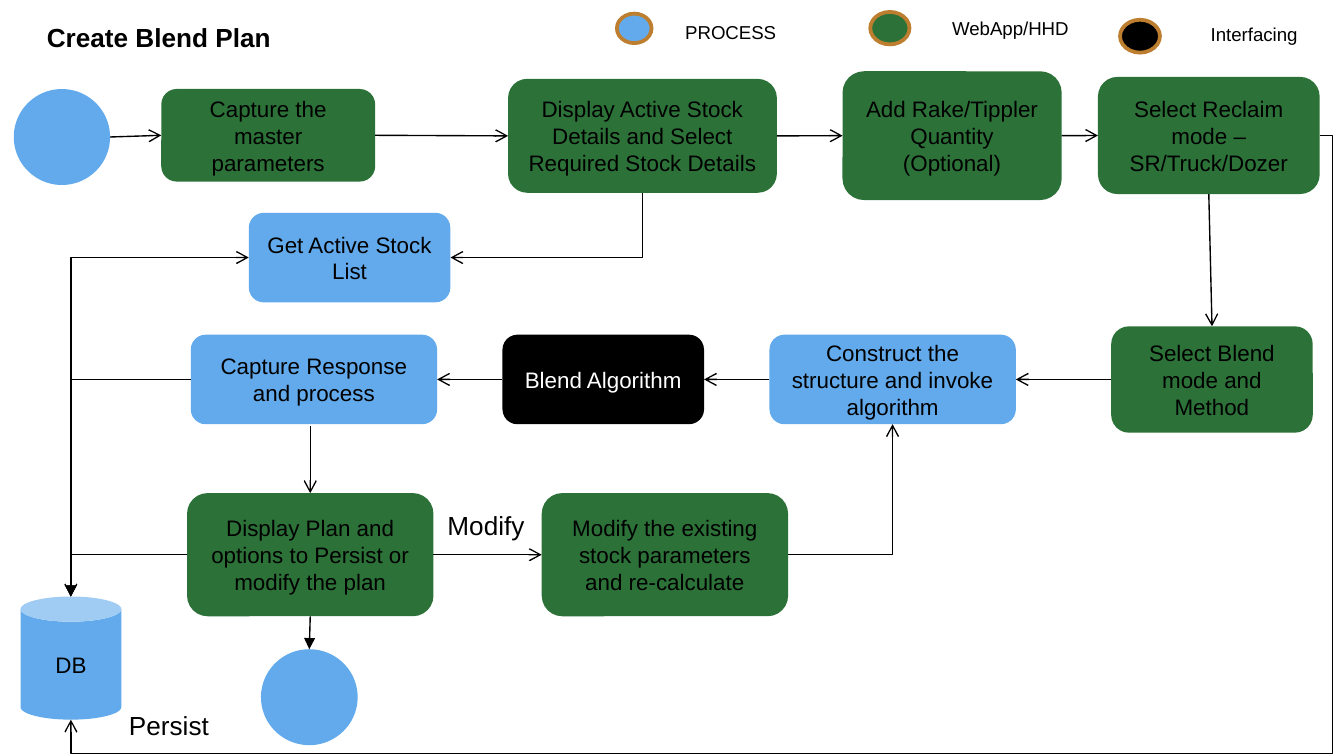
from lxml import etree
from pptx import Presentation
from pptx.dml.color import RGBColor
from pptx.enum.shapes import MSO_CONNECTOR, MSO_SHAPE
from pptx.enum.text import MSO_ANCHOR, PP_ALIGN
from pptx.oxml.ns import qn
from pptx.util import Pt

BLUE, GREEN, BLACK, WHITE, BRONZE = "62AAEC", "2C7238", "000000", "FFFFFF", "BD7F2F"
BOX, ROUND, CAN = MSO_SHAPE.ROUNDED_RECTANGLE, MSO_SHAPE.OVAL, MSO_SHAPE.CAN

# name: (shape, fill, text, left, top, width, height)
NODES = {
    "start": (ROUND, BLUE, "", 7.4, 47.7, 51.6, 51.4),
    "capture": (BOX, GREEN, "Capture the master parameters", 86.4, 47.7, 114.6, 49.6),
    "db": (CAN, BLUE, "DB", 11, 319.6, 54, 66),
    "stock": (BOX, GREEN, "Display Active Stock Details and Select Required Stock Details",
              272.2, 42.3, 144, 61),
    "rake": (BOX, GREEN, "Add Rake/Tippler Quantity (Optional)", 451.4, 38.2, 117.4, 69),
    "reclaim": (BOX, GREEN, "Select Reclaim mode – SR/Truck/Dozer", 588.2, 41.2, 118.8, 62.8),
    "blend": (BOX, GREEN, "Select Blend mode and Method", 595.3, 174.8, 108, 57),
    "algorithm": (BOX, BLACK, "Blend Algorithm", 269.2, 179.3, 108, 48),
    "plan": (BOX, GREEN, "Display Plan and options to Persist or modify the plan",
             100.2, 264.2, 132, 66),
    "modify": (BOX, GREEN, "Modify the existing stock parameters and re-calculate",
               290.2, 264.2, 132, 66),
    "list": (BOX, BLUE, "Get Active Stock List", 133.3, 114, 108, 48),
    "construct": (BOX, BLUE, "Construct the structure and invoke algorithm",
                  412.2, 179.3, 132, 48),
    "response": (BOX, BLUE, "Capture Response and process", 102.2, 179.3, 132, 48),
    "end": (ROUND, BLUE, "", 139.8, 347.8, 51.8, 51.4),
}

# (from node, side), (to node, side), arrowhead
STRAIGHT = [
    (("start", "right"), ("capture", "left"), "arrow"),
    (("capture", "right"), ("stock", "left"), "arrow"),
    (("stock", "right"), ("rake", "left"), "arrow"),
    (("rake", "right"), ("reclaim", "left"), "arrow"),
    (("reclaim", "bottom"), ("blend", "top"), "arrow"),
    (("blend", "left"), ("construct", "right"), "arrow"),
    (("construct", "left"), ("algorithm", "right"), "arrow"),
    (("algorithm", "left"), ("response", "right"), "arrow"),
    (("plan", "right"), ("modify", "left"), "arrow"),
    (("plan", "bottom"), ("end", "top"), "triangle"),
]
# Elbows that leave sideways and arrive vertically, with tail and head ends
ELBOWS = [
    (("list", "left"), ("db", "top"), "arrow", "arrow"),
    (("modify", "right"), ("construct", "bottom"), "arrow", None),
    (("response", "left"), ("db", "top"), "triangle", None),
    (("plan", "left"), ("db", "top"), "triangle", None),
]
RETURN_ADJUSTMENTS = (-1000, 105800)

# fill, left, top, width, height of the key; text, left, top, width of its label
LEGEND = [
    (BLUE, 330.5, 7.3, 18.6, 15.8, "PROCESS", 360, 7.4, 77),
    (GREEN, 466.2, 6.4, 21, 17.4, "WebApp/HHD", 503, 5.6, 91),
    (BLACK, 600, 10.6, 21.4, 17.6, "Interfacing", 641.5, 8.7, 64),
]
# text, left, top, width, bold
LABELS = [
    ("Create Blend Plan", 18, 7.8, 138, True),
    ("Modify", 232.6, 269.6, 60, False),
    ("Persist", 62, 376.4, 60, False),
]


def rgb(color):
    """Turn a hex string into a colour."""
    return RGBColor.from_string(color)


def write(frame, text, size, color=BLACK, bold=False):
    """Put one Arial paragraph in a text frame and return it."""
    frame.word_wrap = True
    paragraph = frame.paragraphs[0]
    run = paragraph.add_run()
    run.text = text
    font = run.font
    font.name, font.size, font.bold = "Arial", Pt(size), bold
    font.color.rgb = rgb(color)
    return paragraph


def add_node(slide, kind, fill, text, *place, outline=None):
    """Add a filled shape with optional outline and centred text."""
    shape = slide.shapes.add_shape(kind, *map(Pt, place))
    shape.shadow.inherit = False
    shape.fill.solid()
    shape.fill.fore_color.rgb = rgb(fill)
    if outline:
        shape.line.color.rgb = rgb(outline)
        shape.line.width = Pt(2)
    else:
        shape.line.fill.background()
    if text:
        shape.text_frame.vertical_anchor = MSO_ANCHOR.MIDDLE
        color = WHITE if fill == BLACK else BLACK
        write(shape.text_frame, text, 12, color).alignment = PP_ALIGN.CENTER


def add_label(slide, text, left, top, width, height, size, bold=False):
    """Add a plain text box."""
    box = slide.shapes.add_textbox(Pt(left), Pt(top), Pt(width), Pt(height))
    write(box.text_frame, text, size, bold=bold)


def port(name, side):
    """Find the middle of one side of a node."""
    left, top, width, height = NODES[name][3:]
    across, down = {"left": (0, 0.5), "right": (1, 0.5),
                    "top": (0.5, 0), "bottom": (0.5, 1)}[side]
    return left + across * width, top + down * height


def add_link(slide, begin, end, tail="arrow", head=None, preset="line", adjust=()):
    """Add a thin black connector between two points."""
    link = slide.shapes.add_connector(MSO_CONNECTOR.STRAIGHT, *map(Pt, begin + end))
    link.line.color.rgb = rgb(BLACK)
    link.line.width = Pt(0.75)
    properties = link._element.spPr
    geometry = properties.find(qn("a:prstGeom"))
    geometry.set("prst", preset)
    for number, value in enumerate(adjust, 1):
        etree.SubElement(geometry.find(qn("a:avLst")), qn("a:gd"),
                         name=f"adj{number}", fmla=f"val {value}")
    for tag, kind in (("a:headEnd", head), ("a:tailEnd", tail)):
        if kind:
            etree.SubElement(properties.find(qn("a:ln")), qn(tag), type=kind)
    etree.SubElement(properties, qn("a:effectLst"))
    return link


def add_drop(slide, begin, end):
    """Add an elbow that goes down, then left, as a quarter-turned bend."""
    middle_x, middle_y = (begin[0] + end[0]) / 2, (begin[1] + end[1]) / 2
    half_w, half_h = (end[1] - begin[1]) / 2, (begin[0] - end[0]) / 2
    link = add_link(slide, (middle_x - half_w, middle_y - half_h),
                    (middle_x + half_w, middle_y + half_h), preset="bentConnector2")
    link._element.spPr.find(qn("a:xfrm")).set("rot", "5400000")


def main():
    """Build the flow chart."""
    deck = Presentation()
    deck.slide_width, deck.slide_height = Pt(720), Pt(405)
    slide = deck.slides.add_slide(deck.slide_layouts[6])
    for node in NODES.values():
        add_node(slide, *node)
    for begin, end, tail in STRAIGHT:
        add_link(slide, port(*begin), port(*end), tail)
    plan_top = port("plan", "top")
    add_link(slide, (plan_top[0], 228.4), plan_top)
    for begin, end, tail, head in ELBOWS:
        add_link(slide, port(*begin), port(*end), tail, head, "bentConnector2")
    add_drop(slide, port("stock", "bottom"), port("list", "right"))
    add_link(slide, port("reclaim", "right"), port("db", "bottom"),
             preset="bentConnector4", adjust=RETURN_ADJUSTMENTS)
    for fill, left, top, width, height, text, *label in LEGEND:
        add_node(slide, ROUND, fill, "", left, top, width, height, outline=BRONZE)
        add_label(slide, text, *label, 19.4, 10)
    for text, left, top, width, bold in LABELS:
        add_label(slide, text, left, top, width, 24.2, 14, bold)
    deck.save("out.pptx")


main()
